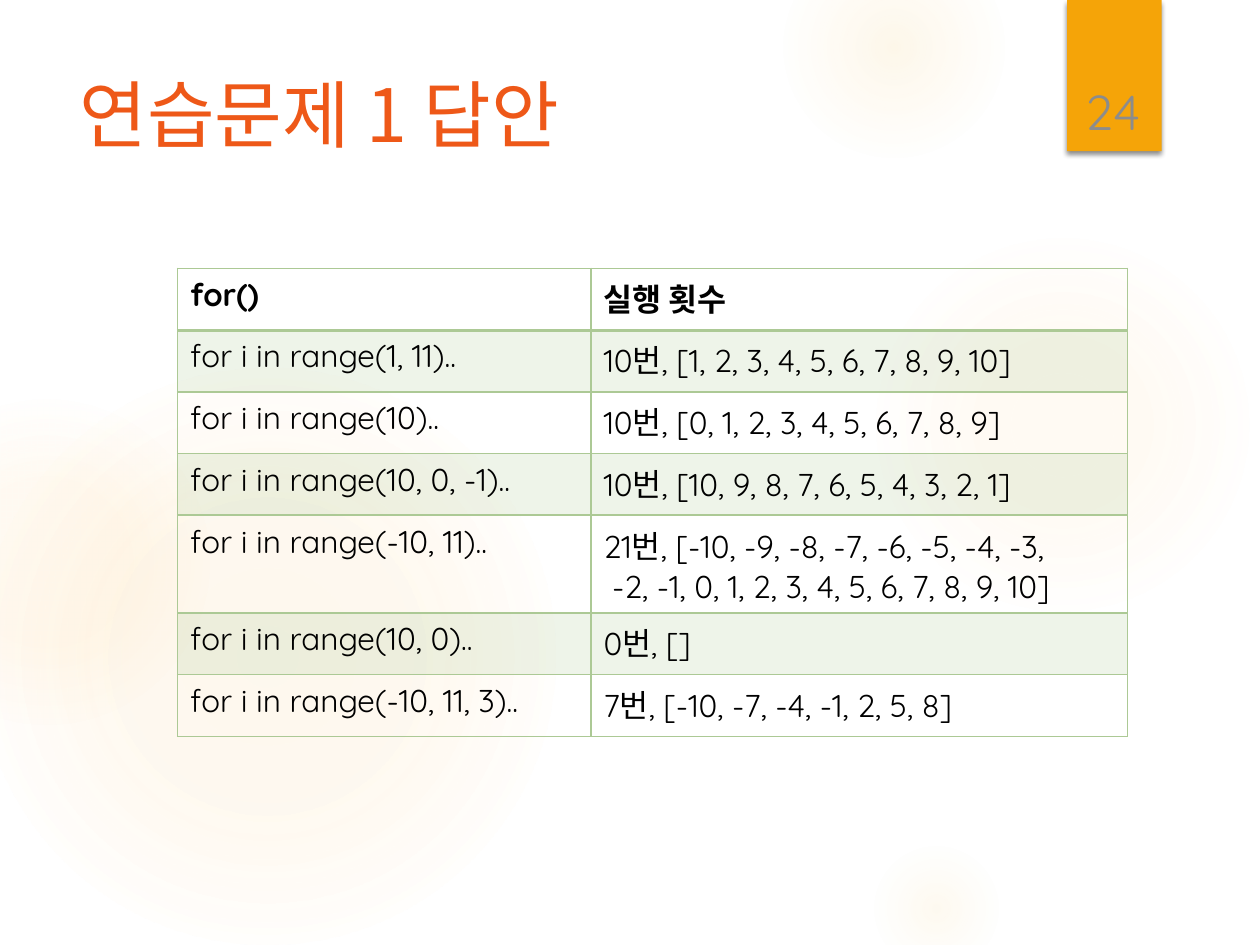
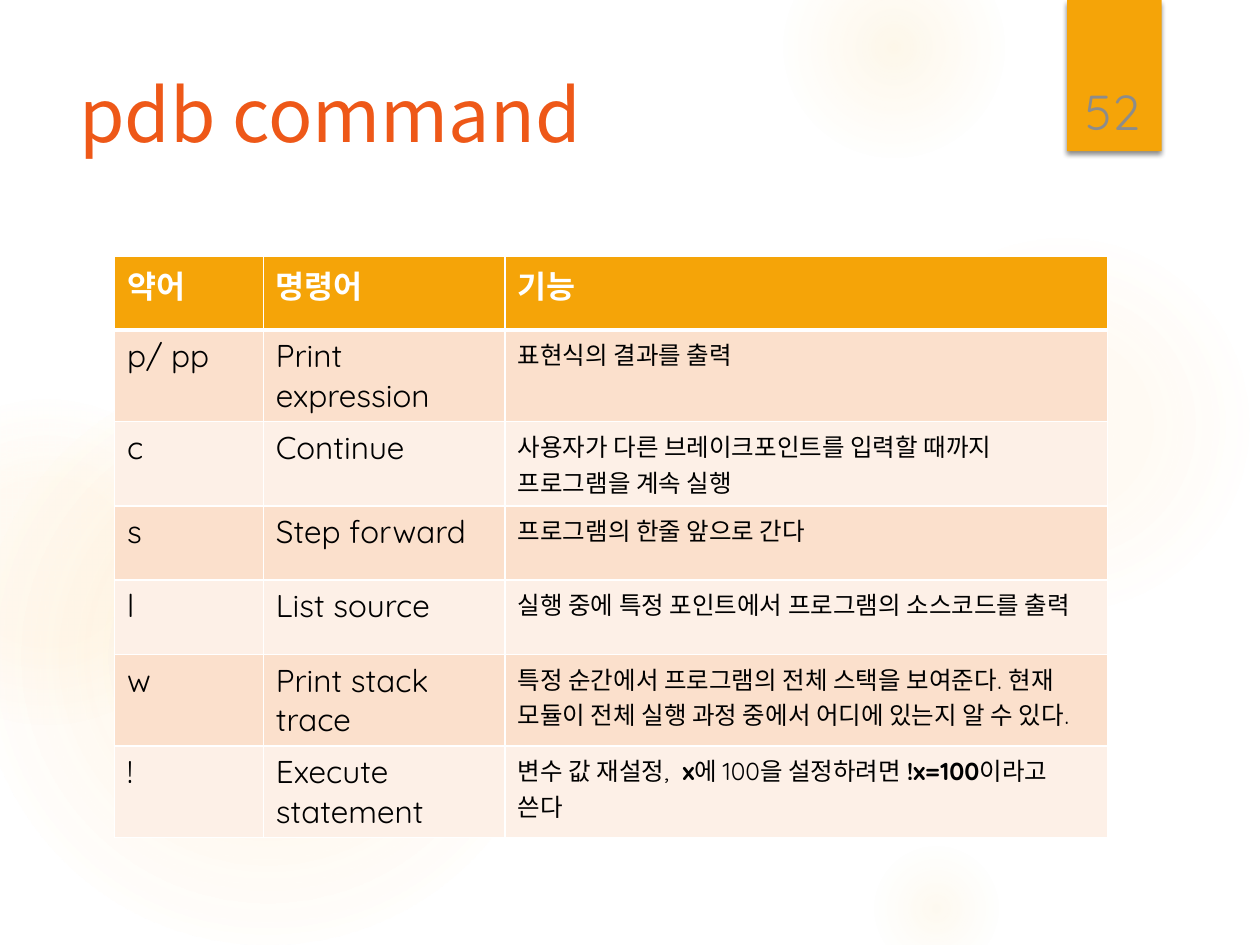
from dataclasses import dataclass
from lxml import etree
from pptx import Presentation, util as u
from pptx.dml.color import RGBColor
from pptx.enum import shapes, text
from pptx.oxml import parse_xml
from pptx.oxml.ns import nsdecls, qn


@dataclass(frozen=True)
class Theme:
    title: str = "EE5818"
    band: str = "F5A408"
    glow: str = "FAC96A"
    number: str = "8C8C8C"
    ink: str = "000000"
    white: str = "FFFFFF"
    green: str = "ACC995"
    peach: str = "FBE0CC"
    cream: str = "FDF0E7"
    latin: str = "Quicksand"
    hangul: str = "Noto Sans CJK KR"
    title_pt: int = 42
    number_pt: int = 28
    cell_pt: int = 18
    note_pt: int = 14


T = Theme()

# left, top, size, then (stop %, opacity %) from the centre outward
GLOWS = [
    (6.89, 1.83, 3.08, [(0, 7), (36, 6), (69, 0)]),
    (6.22, -0.5, 1.75, [(0, 14), (36, 7), (73, 0)]),
    (6.89, 6.67, 1.08, [(0, 10), (31, 5), (66, 0)]),
    (-0.17, 2.92, 4.58, [(0, 11), (36, 10), (75, 0)]),
    (-0.92, 3.17, 2.58, [(0, 8), (36, 8), (72, 0)]),
]
BAND = (8.47, 0, 0.75, 1.2)
TITLE = (0.53, 0.5, 7.72, 1.53)
NUMBER = (8.49, 0.32, 0.69, 0.84)

# A fill is (colour, opacity %) or None; bands alternate below the head.
SLIDES = [
    dict(
        title="연습문제 1 답안", number=24,
        at=(1.41, 2.13), cols=(3.28, 4.26), row=0.49,
        sizes=(T.cell_pt, T.cell_pt), head_ink=T.ink, head_fill=None,
        bands=((T.green, 20), None), line=T.green, rule=2,
        rows=[
            ("for()", "실행 횟수"),
            ("for i in range(1, 11)..", "10번, [1, 2, 3, 4, 5, 6, 7, 8, 9, 10]"),
            ("for i in range(10)..", "10번, [0, 1, 2, 3, 4, 5, 6, 7, 8, 9]"),
            ("for i in range(10, 0, -1)..", "10번, [10, 9, 8, 7, 6, 5, 4, 3, 2, 1]"),
            ("for i in range(-10, 11)..",
             "21번, [-10, -9, -8, -7, -6, -5, -4, -3,\v"
             " -2, -1, 0, 1, 2, 3, 4, 5, 6, 7, 8, 9, 10]"),
            ("for i in range(10, 0)..", "0번, []"),
            ("for i in range(-10, 11, 3)..", "7번, [-10, -7, -4, -1, 2, 5, 8]"),
        ],
    ),
    dict(
        title="pdb command", number=52,
        at=(0.91, 2.03), cols=(1.18, 1.92, 4.78), row=0.59,
        sizes=(T.cell_pt, T.cell_pt, T.note_pt),
        head_ink=T.white, head_fill=(T.band, 100),
        bands=((T.peach, 100), (T.cream, 100)), line=T.white, rule=3,
        rows=[
            ("약어", "명령어", "기능"),
            ("p/ pp", "Print expression", "표현식의 결과를 출력"),
            ("c", "Continue",
             "사용자가 다른 브레이크포인트를 입력할 때까지 프로그램을 계속 실행"),
            ("s", "Step forward", "프로그램의 한줄 앞으로 간다"),
            ("l", "List source",
             "실행 중에 특정 포인트에서 프로그램의 소스코드를 출력"),
            ("w", "Print stack trace",
             "특정 순간에서 프로그램의 전체 스택을 보여준다. 현재 모듈이 "
             "전체 실행 과정 중에서 어디에 있는지 알 수 있다."),
            ("!", "Execute statement",
             "변수 값 재설정,  **x**에 100을 설정하려면 **!x=100**이라고 쓴다"),
        ],
    ),
]


def inch(nums):
    return [u.Inches(n) for n in nums]


def style(para, size, ink, latin=T.latin, bold=False):
    for run in para.runs:
        font = run.font
        font.size, font.bold = u.Pt(size), bold
        font.color.rgb = RGBColor.from_string(ink)
        font.name = latin
        etree.SubElement(font._element, qn("a:ea"), typeface=T.hangul)


def paint(fill, hue):
    if hue is None:
        fill.background()
        return
    fill.solid()
    fill.fore_color.rgb = RGBColor.from_string(hue[0])


def add_glow(slide, left, top, size, stops):
    disc = slide.shapes.add_shape(
        shapes.MSO_SHAPE.OVAL, *inch((left, top, size, size)))
    disc.shadow.inherit = False
    disc.line.fill.background()
    marks = "".join(
        f'<a:gs pos="{pos * 1000}"><a:srgbClr val="{T.glow}">'
        f'<a:alpha val="{alpha * 1000}"/></a:srgbClr></a:gs>'
        for pos, alpha in stops)
    grad = parse_xml(
        f'<a:gradFill {nsdecls("a")}><a:gsLst>{marks}</a:gsLst>'
        '<a:path path="circle"><a:fillToRect l="50000" t="50000" r="50000" '
        'b="50000"/></a:path></a:gradFill>')
    disc._element.spPr.find(qn("a:prstGeom")).addnext(grad)
    return disc


def add_band(slide):
    band = slide.shapes.add_shape(shapes.MSO_SHAPE.RECTANGLE, *inch(BAND))
    paint(band.fill, (T.band, 100))
    band.line.fill.background()
    band._element.spPr.append(parse_xml(
        f'<a:effectLst {nsdecls("a")}><a:outerShdw blurRad="{u.Pt(3)}" '
        f'dist="{u.Pt(2)}" dir="5400000" rotWithShape="0">'
        f'<a:srgbClr val="{T.ink}"><a:alpha val="45000"/></a:srgbClr>'
        '</a:outerShdw></a:effectLst>'))
    return band


def dress(layout, slide):
    """Draw the shared decor on a slide, then move it behind the layout."""
    decor = [add_glow(slide, *glow) for glow in GLOWS] + [add_band(slide)]
    for spot, shape in enumerate(decor, 2):
        layout.shapes.element.insert(spot, shape._element)


def add_title(slide, words):
    title = slide.shapes.title
    title.left, title.top, title.width, title.height = inch(TITLE)
    frame = title.text_frame
    frame.text = words
    frame.auto_size = text.MSO_AUTO_SIZE.NONE
    frame.vertical_anchor = text.MSO_ANCHOR.TOP
    para = frame.paragraphs[0]
    para.alignment = text.PP_ALIGN.LEFT
    style(para, T.title_pt, T.title, T.hangul)


def add_number(slide, num):
    frame = slide.shapes.add_textbox(*inch(NUMBER)).text_frame
    frame.word_wrap = True
    frame.vertical_anchor = text.MSO_ANCHOR.BOTTOM
    frame.text = str(num)
    para = frame.paragraphs[0]
    para.alignment = text.PP_ALIGN.CENTER
    style(para, T.number_pt, T.number)


def fill_cell(cell, hue):
    paint(cell.fill, hue)
    if hue and hue[1] < 100:
        tint = cell._tc.tcPr.find(".//" + qn("a:srgbClr"))
        etree.SubElement(tint, qn("a:alpha"), val=str(hue[1] * 1000))


def edge_cell(cell, ink, top, bottom):
    widths = dict(L=1, R=1, T=top, B=bottom)
    for spot, (side, width) in enumerate(widths.items()):
        cell._tc.tcPr.insert(spot, parse_xml(
            f'<a:ln{side} {nsdecls("a")} w="{u.Pt(width)}"><a:solidFill>'
            f'<a:srgbClr val="{ink}"/></a:solidFill></a:ln{side}>'))


def write_cell(cell, words, size, ink, head):
    """Fill a cell; parts between double stars are bold."""
    para = cell.text_frame.paragraphs[0]
    parts = words.split("**")
    if len(parts) == 1:
        para.text = words
    else:
        for part in parts:
            para.add_run().text = part
    style(para, size, ink, bold=head)
    if len(parts) > 1:
        for run in para.runs[1::2]:
            run.font.bold = True


def add_grid(slide, data):
    rows, cols = data["rows"], data["cols"]
    frame = slide.shapes.add_table(
        len(rows), len(cols),
        *inch((*data["at"], sum(cols), data["row"] * len(rows))))
    grid = frame.table
    grid.first_row = grid.horz_banding = False
    for col, width in zip(grid.columns, cols):
        col.width = u.Inches(width)
    for r, words in enumerate(rows):
        grid.rows[r].height = u.Inches(data["row"])
        head = r == 0
        hue = data["head_fill"] if head else data["bands"][(r - 1) % 2]
        for c, word in enumerate(words):
            cell = grid.cell(r, c)
            size = T.cell_pt if head else data["sizes"][c]
            write_cell(cell, word, size, data["head_ink"] if head else T.ink, head)
            fill_cell(cell, hue)
            edge_cell(cell, data["line"], data["rule"] if r == 1 else 1,
                      data["rule"] if head else 1)


def main():
    deck = Presentation()
    deck.slide_width, deck.slide_height = inch((10, 7.5))
    layout = deck.slide_layouts[5]
    for i, data in enumerate(SLIDES):
        slide = deck.slides.add_slide(layout)
        if i == 0:
            dress(layout, slide)
        add_title(slide, data["title"])
        add_grid(slide, data)
        add_number(slide, data["number"])
    deck.save("out.pptx")


if __name__ == "__main__":
    main()
